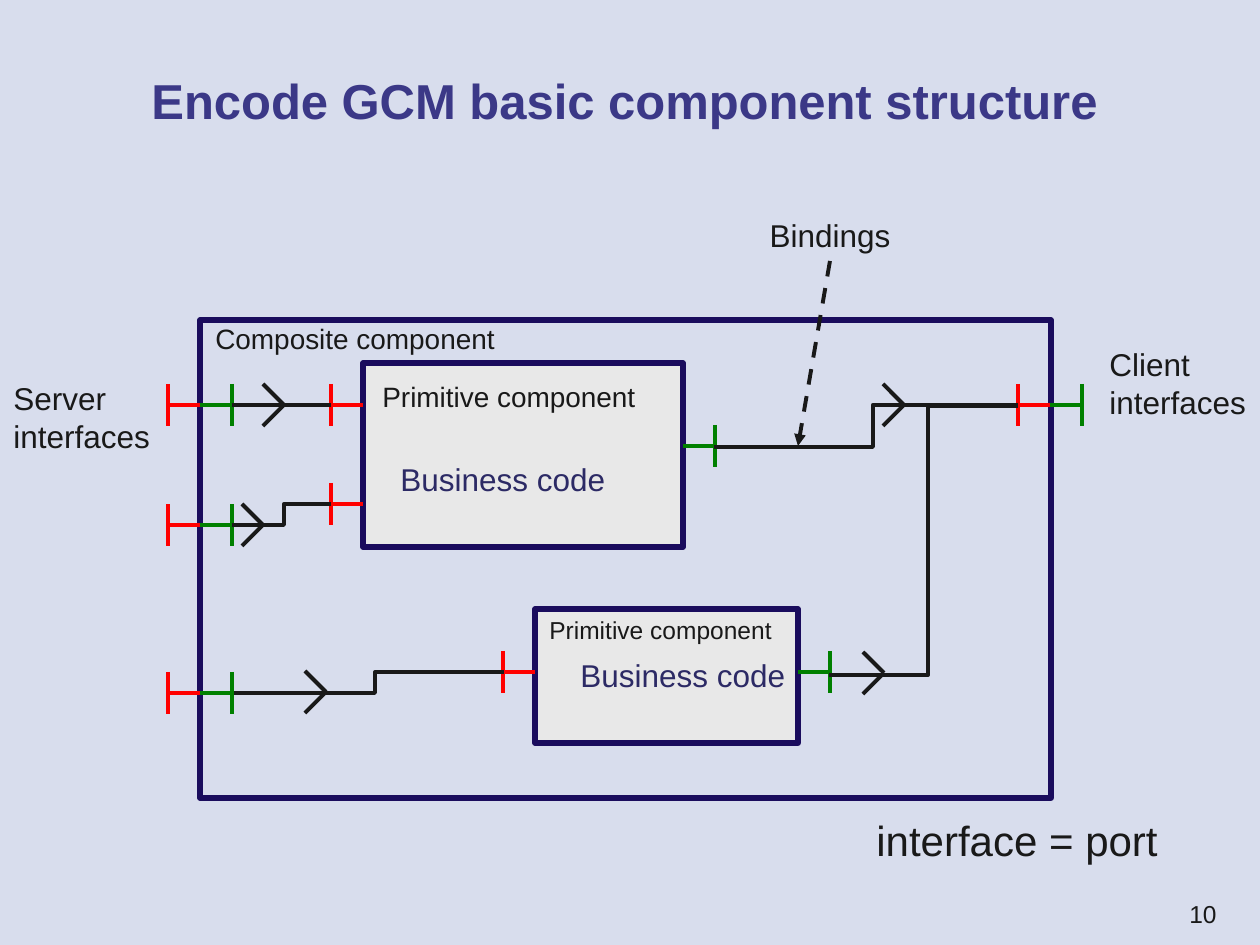
import pptx
import pptx.util
import pptx.dml.color
import pptx.enum.dml
import pptx.enum.shapes
import pptx.enum.text
import pptx.oxml.ns
import lxml.etree

PX = 914400 / 126
INK, NAVY, VIOLET = "191919", "1A0C5D", "2C2A65"
SERVER, CLIENT = "FF0000", "008000"
color = pptx.dml.color.RGBColor.from_string
qn = pptx.oxml.ns.qn
STRAIGHT = pptx.enum.shapes.MSO_CONNECTOR.STRAIGHT
ELBOW = pptx.enum.shapes.MSO_CONNECTOR.ELBOW
LEFT = pptx.enum.text.PP_ALIGN.LEFT
CENTER = pptx.enum.text.PP_ALIGN.CENTER
RIGHT = pptx.enum.text.PP_ALIGN.RIGHT

deck = pptx.Presentation()
deck.slide_width = pptx.util.Inches(10)
deck.slide_height = pptx.util.Inches(7.5)
slide = deck.slides.add_slide(deck.slide_layouts[6])
slide.background.fill.solid()
slide.background.fill.fore_color.rgb = color("D8DDED")


def draw_line(kind, ends, ink):
    line = slide.shapes.add_connector(kind, *[round(end * PX) for end in ends])
    line.line.color.rgb = color(ink)
    line.line.width = pptx.util.Pt(2.25)
    lxml.etree.SubElement(line._element.spPr, qn("a:effectLst"))
    return line


def write_text(wording, area, size, ink, align=LEFT):
    label = slide.shapes.add_textbox(*[round(length * PX) for length in area])
    frame = label.text_frame
    frame.word_wrap = True
    if align != RIGHT:
        frame.margin_right = 0
    if align == CENTER:
        frame.margin_left = 0
    paragraph = frame.paragraphs[0]
    paragraph.text = wording
    paragraph.alignment = align
    for run in paragraph.runs:
        run.font.name = "Arial"
        run.font.size = pptx.util.Pt(size)
        run.font.color.rgb = color(ink)
    return frame


title = write_text("Encode GCM basic component structure", (55, 42, 1139, 116), 28, "3B3887", CENTER)
title.vertical_anchor = pptx.enum.text.MSO_ANCHOR.MIDDLE
title.paragraphs[0].runs[0].font.bold = True

for area, fill in [
    ((200, 320, 851, 478), None),
    ((363, 363, 320, 184), "E8E8E8"),
    ((535, 609, 263, 134), "E8E8E8"),
]:
    component = slide.shapes.add_shape(
        pptx.enum.shapes.MSO_SHAPE.RECTANGLE, *[round(length * PX) for length in area]
    )
    component.shadow.inherit = False
    component.line.color.rgb = color(NAVY)
    component.line.width = pptx.util.Pt(3)
    if fill:
        component.fill.solid()
        component.fill.fore_color.rgb = color(fill)
    else:
        component.fill.background()

server_ports = [(200, 405), (200, 525), (200, 693), (363, 405), (363, 504), (1050, 405), (535, 672)]
client_ports = [(200, 405), (200, 525), (200, 693), (683, 446), (798, 672), (1050, 405)]
for ports, reach, ink in [(server_ports, -32, SERVER), (client_ports, 32, CLIENT)]:
    for edge, y in ports:
        tip = edge + reach
        draw_line(STRAIGHT, (edge, y, tip, y), ink)
        draw_line(STRAIGHT, (tip, y - 21, tip, y + 21), ink)

draw_line(STRAIGHT, (232, 405, 331, 405), INK)
for start, y1, end, y2, bend in [
    (232, 525, 331, 504, 284),
    (234, 693, 504, 672, 375),
    (714, 447, 1018, 405, 873),
    (829, 675, 1018, 406, 928),
]:
    binding = draw_line(ELBOW, (start, y1, end, y2), INK)
    ratio = round((bend - start) / (end - start) * 100000)
    guides = binding._element.spPr.find(qn("a:prstGeom")).find(qn("a:avLst"))
    lxml.etree.SubElement(guides, qn("a:gd"), name="adj1", fmla=f"val {ratio}")

for tip, y in [(284, 405), (263, 525), (326, 692), (904, 405), (884, 673)]:
    for rise in (-21, 21):
        draw_line(STRAIGHT, (tip - 21, y + rise, tip, y), INK)

pointer = draw_line(STRAIGHT, (830, 261, 798, 446), INK)
pointer.line.dash_style = pptx.enum.dml.MSO_LINE.DASH
lxml.etree.SubElement(pointer.line._get_or_add_ln(), qn("a:tailEnd"), type="triangle")

for wording, area, size, ink, align in [
    ("Bindings", (757, 210, 146, 50), 18, INK, CENTER),
    ("Business code", (388, 454, 229, 50), 18, VIOLET, LEFT),
    ("Business code", (568, 650, 229, 50), 18, VIOLET, LEFT),
    ("Server\ninterfaces", (1, 373, 161, 88), 18, INK, LEFT),
    ("Client\ninterfaces", (1097, 339, 161, 88), 18, INK, LEFT),
    ("Primitive component", (370, 373, 278, 47), 16, INK, LEFT),
    ("Primitive component", (537, 609, 247, 43), 14, INK, LEFT),
    ("Composite component", (203, 315, 305, 47), 16, INK, LEFT),
    ("interface = port", (864, 808, 306, 63), 24, INK, LEFT),
    ("10", (998, 893, 231, 32), 14, INK, RIGHT),
]:
    write_text(wording, area, size, ink, align)

deck.save("out.pptx")
